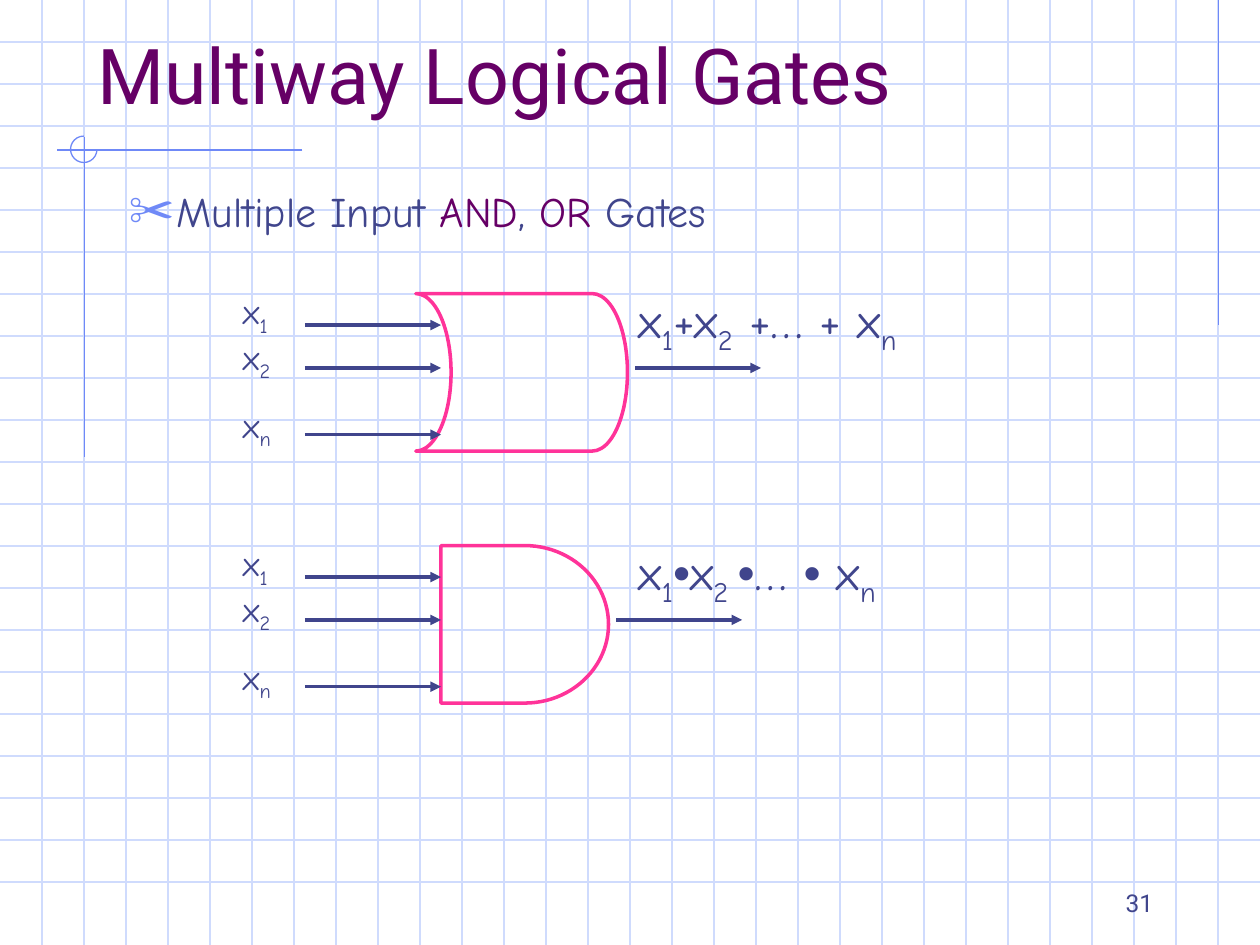
"""Build the slide on multiway logical gates, with OR and AND gate diagrams."""
from lxml import etree
from pptx import Presentation
from pptx import util as u
from pptx.dml.color import RGBColor
from pptx.enum import shapes, text
from pptx.oxml.ns import qn

INK = RGBColor(0x40, 0x45, 0x8C)
PLUM = RGBColor(0x66, 0x00, 0x66)
PINK = RGBColor(0xFF, 0x33, 0x99)
BLUE = RGBColor(0x6F, 0x89, 0xF7)
PALE = RGBColor(0xCF, 0xDB, 0xFD)
HAND, SANS, DOT = "Comic Neue", "Roboto", "Arial"
WIDTH, HEIGHT, STEP = 10, 7.5, 1 / 3

TITLE = "Multiway Logical Gates"
BULLET = [("Multiple Input ", INK), ("AND", PLUM), (", ", INK), ("OR", PLUM), (" Gates", INK)]
PAGE = "31"
INPUTS = [("1", 0, 0.33), ("2", 0.36, 0.67), ("n", 0.9, 1.2)]
OR_TERMS = [("x", HAND, False), ("1", HAND, True), ("+x", HAND, False),
            ("2", HAND, True), (" +… + x", HAND, False), ("n", HAND, True)]
AND_TERMS = [("x", HAND, False), ("1", HAND, True), ("•", DOT, False), ("x", HAND, False),
             ("2 ", HAND, True), ("•", DOT, False), ("… ", HAND, False),
             ("•", DOT, False), (" x", HAND, False), ("n", HAND, True)]
GATES = [
    dict(top=2.25, kind=shapes.MSO_SHAPE.FLOWCHART_STORED_DATA, left=3.3, width=1.68,
         turn=180, out=5.04, terms=OR_TERMS),
    dict(top=4.25, kind=shapes.MSO_SHAPE.FLOWCHART_DELAY, left=3.5, width=1.33,
         turn=0, out=4.89, terms=AND_TERMS),
]


def add_line(sps, x1, y1, x2, y2, color, width=0.75, arrow=False):
    c = sps.add_connector(shapes.MSO_CONNECTOR.STRAIGHT, *map(u.Inches, (x1, y1, x2, y2)))
    c.line.color.rgb = color
    c.line.width = u.Pt(width)
    if arrow:
        etree.SubElement(c.line._get_or_add_ln(), qn("a:tailEnd"), type="triangle")
    etree.SubElement(c._element.spPr, qn("a:effectLst"))


def add_outline(sps, kind, box, color, width):
    sp = sps.add_shape(kind, *map(u.Inches, box))
    sp.shadow.inherit = False
    sp.fill.background()
    sp.line.color.rgb = color
    sp.line.width = u.Pt(width)
    return sp


def add_run(p, words, size, font, color, sub=False):
    r = p.add_run()
    r.text = words
    r.font.size = u.Pt(size)
    r.font.name = font
    r.font.color.rgb = color
    if sub:
        r.font._element.set("baseline", "-25000")


def add_text(sps, box, runs, size):
    tf = sps.add_textbox(*map(u.Inches, box)).text_frame
    tf.word_wrap = True
    for words, font, sub in runs:
        add_run(tf.paragraphs[0], words, size, font, INK, sub)
    return tf


def place(sp, box):
    sp.left, sp.top, sp.width, sp.height = map(u.Inches, box)
    sp._element.getparent().append(sp._element)
    tf = sp.text_frame
    tf.auto_size = text.MSO_AUTO_SIZE.NONE
    p = tf.paragraphs[0]
    p.alignment = text.PP_ALIGN.LEFT
    p.space_before = u.Pt(0)
    return tf, p


def add_backdrop(s):
    grid = s.shapes.add_group_shape().shapes
    for i in range(1, round(HEIGHT / STEP)):
        add_line(grid, 0, i * STEP, WIDTH, i * STEP, PALE)
    for i in range(1, round(WIDTH / STEP)):
        add_line(grid, i * STEP, 0, i * STEP, HEIGHT, PALE)
    add_line(s.shapes, 9.67, 0, 9.67, 2.58, BLUE)
    corner = s.shapes.add_group_shape().shapes
    add_line(corner, 2.4, 1.19, 0.45, 1.19, BLUE)
    add_line(corner, 0.67, 1.09, 0.67, 3.63, BLUE)
    arc = add_outline(corner, shapes.MSO_SHAPE.ARC, (0.56, 1.08, 0.21, 0.21), BLUE, 0.75)
    arc.adjustments[0] = 0
    arc.adjustments[1] = 270 * 60000 / 100000


def add_texts(s):
    tf, p = place(s.shapes.title, (0.67, 0.33, 9, 0.67))
    tf.vertical_anchor = text.MSO_ANCHOR.BOTTOM
    add_run(p, TITLE, 44, SANS, PLUM)

    tf, p = place(s.placeholders[1], (0.92, 1.42, 8.5, 5.42))
    pPr = p._p.get_or_add_pPr()
    pPr.set("marL", str(u.Inches(0.38)))
    pPr.set("indent", str(-u.Inches(0.38)))
    etree.SubElement(etree.SubElement(pPr, qn("a:buClr")), qn("a:srgbClr"), val=str(BLUE))
    etree.SubElement(pPr, qn("a:buSzPct"), val="110000")
    etree.SubElement(pPr, qn("a:buChar"), char="✂")
    for words, color in BULLET:
        add_run(p, words, 24, HAND, color)

    tf = add_text(s.shapes, (7.17, 7.08, 2.08, 0.25), [(PAGE, SANS, False)], 14)
    tf.vertical_anchor = text.MSO_ANCHOR.BOTTOM
    tf.paragraphs[0].alignment = text.PP_ALIGN.RIGHT


def add_gate(s, top, kind, left, width, turn, out, terms):
    sps = s.shapes.add_group_shape().shapes
    sp = add_outline(sps, kind, (left, top + 0.08, width, 1.25), PINK, 2)
    sp.rotation = turn
    for index, label_dy, wire_dy in INPUTS:
        add_line(sps, 2.42, top + wire_dy, 3.5, top + wire_dy, INK, 2, True)
        add_text(sps, (1.83, top + label_dy, 0.58, 0.48),
                 [("x", HAND, False), (index, HAND, True)], 20)
    add_line(sps, out, top + 0.67, out + 1, top + 0.67, INK, 2, True)
    add_text(sps, (4.97, top, 3.11, 0.63), terms, 28)


def main():
    prs = Presentation()
    prs.slide_width, prs.slide_height = u.Inches(WIDTH), u.Inches(HEIGHT)
    s = prs.slides.add_slide(prs.slide_layouts[1])
    add_backdrop(s)
    add_texts(s)
    for gate in GATES:
        add_gate(s, **gate)
    prs.save("out.pptx")


if __name__ == "__main__":
    main()
